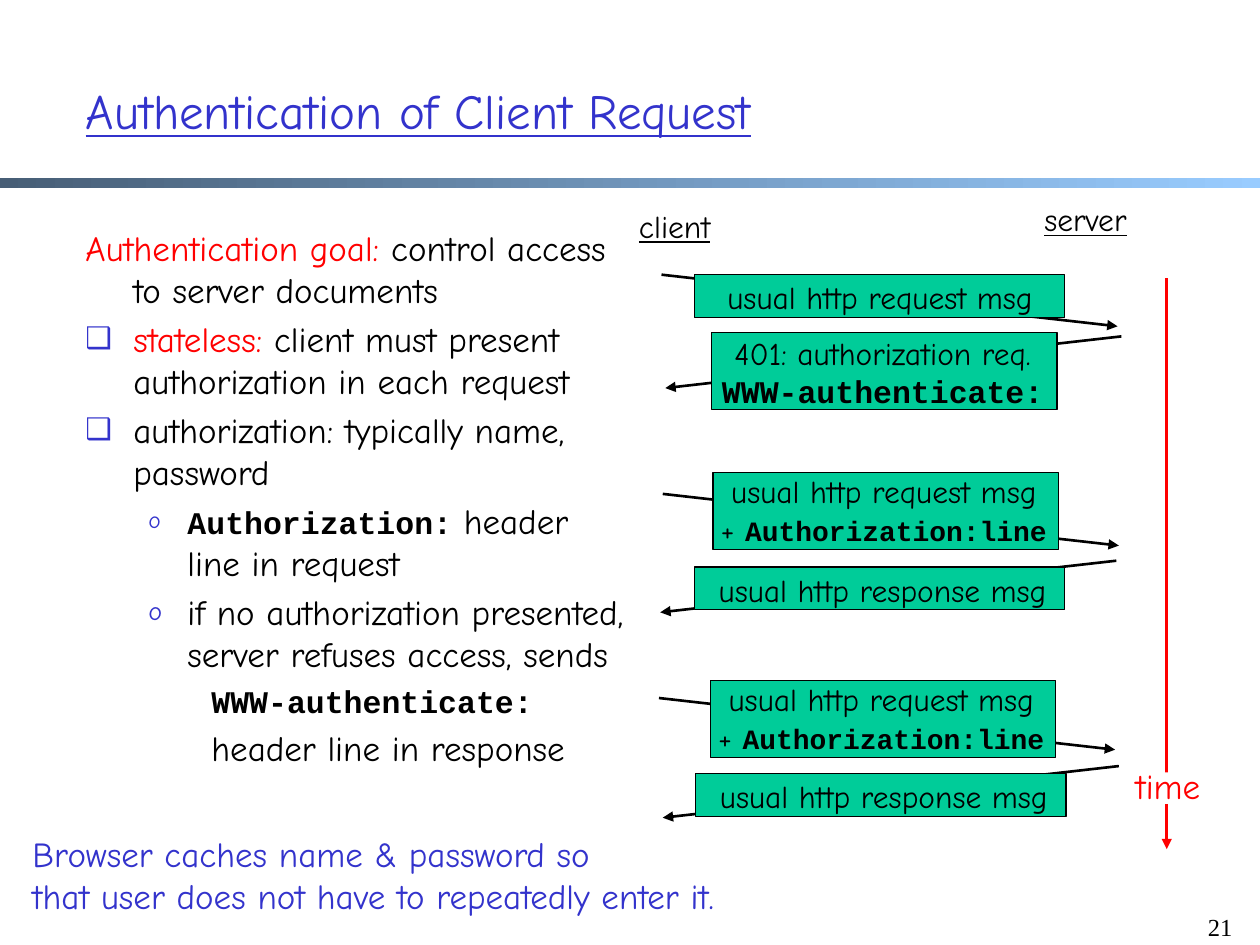
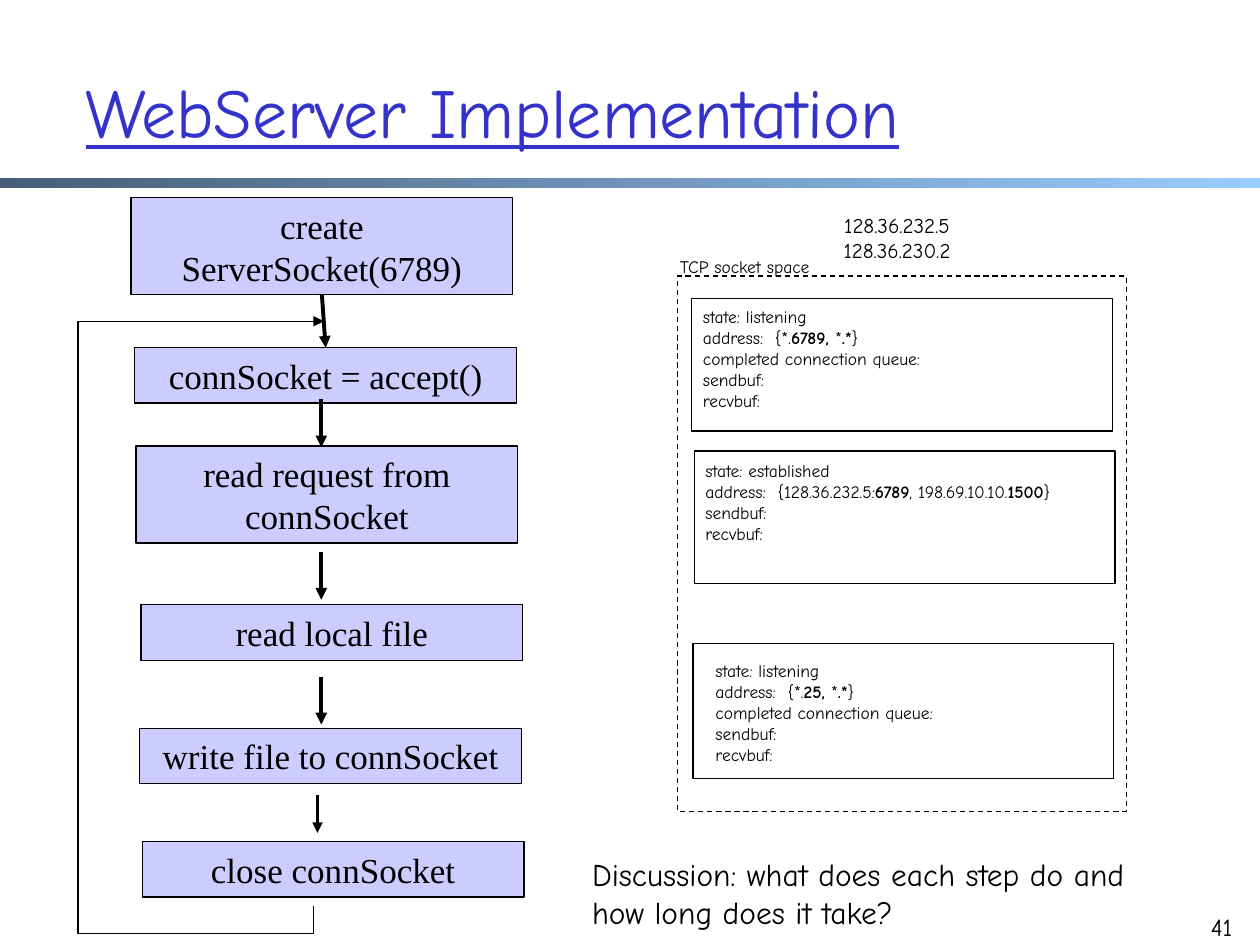
from dataclasses import dataclass, field

from lxml.etree import SubElement
from pptx import Presentation
from pptx.dml.color import RGBColor
from pptx.enum.dml import MSO_LINE
from pptx.enum.shapes import MSO_CONNECTOR, MSO_SHAPE
from pptx.enum.text import MSO_ANCHOR, MSO_AUTO_SIZE, PP_ALIGN
from pptx.oxml.ns import qn
from pptx.util import Pt

PX = 9144  # EMU per px, 100 px to the inch
COLORS = {
    "ink": "000000", "paper": "FFFFFF", "blue": "3333CC", "red": "FF0000",
    "green": "00CC99", "lilac": "CCCCFF", "band_dark": "475E76", "band_light": "99CCFF",
}
COMIC, MONO, SERIF = "Comic Neue", "Courier New", "Times New Roman"


@dataclass(frozen=True)
class Box:
    left: int
    top: int
    width: int
    height: int

    def emu(self) -> list[int]:
        return [value * PX for value in (self.left, self.top, self.width, self.height)]


@dataclass(frozen=True)
class Span:
    text: str
    color: str = "ink"
    style: dict = field(default_factory=dict)


@dataclass(frozen=True)
class Para:
    spans: tuple[Span, ...]
    margin: int = 0
    indent: int = 0
    before: int = 0
    bullet: str = ""
    bullet_size: int = 100


@dataclass(frozen=True)
class Message:
    start: tuple[int, int]
    direction: int  # 1 to the server, -1 to the client
    box: Box
    label: Box
    paras: tuple[Para, ...]


@dataclass(frozen=True)
class Socket:
    box: Box
    label: Box
    paras: tuple[Para, ...]


@dataclass(frozen=True)
class Arrow:
    start: tuple[int, int]
    end: tuple[int, int]
    width: float = 2.25


def rgb(name: str) -> RGBColor:
    return RGBColor.from_string(COLORS[name])


def set_values(target, values: dict) -> None:
    for name, value in values.items():
        setattr(target, name, value)


def styled(size: float, font: str = COMIC, bold: bool = False, underline: bool = False) -> dict:
    return {"size": Pt(size), "name": font, "bold": bold, "underline": underline}


def plain(text: str, size: float, color: str = "ink", **style) -> Para:
    return Para((Span(text, color, styled(size, **style)),))


def add_bullet(para_props, para: Para) -> None:
    color = SubElement(para_props, qn("a:buClr"))
    SubElement(color, qn("a:srgbClr"), val=COLORS["blue"])
    SubElement(para_props, qn("a:buSzPct"), val=str(para.bullet_size * 1000))
    SubElement(para_props, qn("a:buFont"), typeface=COMIC)
    SubElement(para_props, qn("a:buChar"), char=para.bullet)


def write(frame, paras: tuple[Para, ...], align=PP_ALIGN.LEFT, **frame_values) -> None:
    set_values(frame, {"word_wrap": True, "auto_size": MSO_AUTO_SIZE.NONE} | frame_values)
    for index, para in enumerate(paras):
        target = frame.add_paragraph() if index else frame.paragraphs[0]
        set_values(target, {"alignment": align, "space_before": Pt(para.before)})
        if para.margin:
            para_props = target._p.get_or_add_pPr()
            para_props.set("marL", str(para.margin * PX))
            para_props.set("indent", str(para.indent * PX))
            if para.bullet:
                add_bullet(para_props, para)
        for span in para.spans:
            run = target.add_run()
            run.text = span.text
            set_values(run.font, span.style)
            run.font.color.rgb = rgb(span.color)


def add_text(page, box: Box, *paras: Para, align=PP_ALIGN.LEFT, **frame_values):
    write(page.shapes.add_textbox(*box.emu()).text_frame, paras, align, **frame_values)


def add_growing(page, box: Box, *paras: Para, align=PP_ALIGN.LEFT, wrap: bool = False):
    add_text(page, box, *paras, align=align, word_wrap=wrap,
             auto_size=MSO_AUTO_SIZE.SHAPE_TO_FIT_TEXT)


def add_rect(page, box: Box, fill: str = "", line: str = "ink", dash: bool = False):
    shape = page.shapes.add_shape(MSO_SHAPE.RECTANGLE, *box.emu())
    shape.shadow.inherit = False
    if fill:
        shape.fill.solid()
        shape.fill.fore_color.rgb = rgb(fill)
    else:
        shape.fill.background()
    if line:
        shape.line.color.rgb = rgb(line)
        shape.line.width = Pt(0.75)
    else:
        shape.line.fill.background()
    if dash:
        shape.line.dash_style = MSO_LINE.DASH
    return shape


def format_arrow(shape, width: float, color: str) -> None:
    shape.line.color.rgb = rgb(color)
    shape.line.width = Pt(width)
    SubElement(shape.line._get_or_add_ln(), qn("a:tailEnd"), type="triangle")


def add_arrow(page, arrow: Arrow, color: str = "ink"):
    ends = [value * PX for value in arrow.start + arrow.end]
    connector = page.shapes.add_connector(MSO_CONNECTOR.STRAIGHT, *ends)
    format_arrow(connector, arrow.width, color)
    SubElement(connector._element.spPr, qn("a:effectLst"))
    return connector


def start_page(deck, title: str, title_size: int, number: str, number_font: str):
    """Title, gradient band and page number shared by both slides."""
    page = deck.slides.add_slide(deck.slide_layouts[5])
    band = add_rect(page, Box(0, 141, 1000, 8), line="")
    band.fill.gradient()
    band.fill.gradient_angle = 0
    for stop, color in zip(band.fill.gradient_stops, ("band_dark", "band_light")):
        stop.color.rgb = rgb(color)
    heading = page.shapes.title
    names = ("left", "top", "width", "height")
    set_values(heading, dict(zip(names, Box(58, 25, 850, 125).emu())))
    write(heading.text_frame, (plain(title, title_size, "blue", underline=True),),
          vertical_anchor=MSO_ANCHOR.MIDDLE)
    add_text(page, Box(938, 719, 50, 50), plain(number, 14, font=number_font),
             align=PP_ALIGN.RIGHT)
    return page


# Authentication slide content
BODY, CODE = styled(20), styled(18, MONO, bold=True)
TOP = {"margin": 38, "indent": -38, "before": 4}
SQUARE = TOP | {"bullet": "❑", "bullet_size": 85}
ROUND = {"margin": 81, "indent": -31, "before": 4, "bullet": "o", "bullet_size": 75}
DEEP = {"margin": 125, "indent": -25, "before": 4}
GOALS = (
    Para((Span("Authentication goal:", "red", BODY),
          Span(" control access to server documents", style=BODY)), **TOP),
    Para((Span("stateless:", "red", BODY),
          Span(" client must present authorization in each request", style=BODY)), **SQUARE),
    Para((Span("authorization: typically name, password", style=BODY),), **SQUARE),
    Para((Span("Authorization:", style=CODE),
          Span(" header line in request", style=BODY)), **ROUND),
    Para((Span("if no authorization presented, server refuses access, sends",
               style=BODY),), **ROUND),
    Para((Span("WWW-authenticate:", style=CODE),), **DEEP),
    Para((Span("header line in response", style=BODY),), **DEEP),
)
REQUEST = plain("usual http request msg", 18)
RESPONSE = plain("usual http response msg", 18)
CHALLENGE = (plain("401: authorization req.", 18),
             plain("WWW-authenticate:", 18, font=MONO, bold=True))
SIGNED = (REQUEST, Para((Span("+ ", style=styled(18)),
                         Span("Authorization:line", style=styled(16, MONO, bold=True)))))
MESSAGES = (
    Message((525, 218), 1, Box(551, 218, 294, 34), Box(552, 216, 293, 40), (REQUEST,)),
    Message((890, 267), -1, Box(565, 264, 274, 61), Box(556, 260, 289, 70), CHALLENGE),
    Message((526, 392), 1, Box(566, 375, 274, 61), Box(555, 370, 293, 70), SIGNED),
    Message((886, 445), -1, Box(551, 450, 294, 34), Box(549, 448, 303, 40), (RESPONSE,)),
    Message((523, 554), 1, Box(564, 540, 274, 61), Box(553, 535, 293, 70), SIGNED),
    Message((888, 608), -1, Box(552, 614, 294, 34), Box(550, 612, 303, 40), (RESPONSE,)),
)


def build_authentication(deck) -> None:
    page = start_page(deck, "Authentication of Client Request", 28, "21", SERIF)
    add_text(page, Box(58, 175, 447, 471), *GOALS)
    for name, box in (("client", Box(482, 159, 107, 50)), ("server", Box(801, 154, 121, 50))):
        add_growing(page, box, plain(name, 18, underline=True), align=PP_ALIGN.CENTER)

    # Messages between client and server
    for message in MESSAGES:
        x, y = message.start
        add_arrow(page, Arrow((x, y), (x + 362 * message.direction, y + 41), 1.5))
        add_rect(page, message.box, "green")
        add_growing(page, message.label, *message.paras, align=PP_ALIGN.CENTER, wrap=True)

    # Time axis
    add_arrow(page, Arrow((926, 221), (926, 674), 1.5), "red")
    add_rect(page, Box(897, 613, 62, 25), "paper", line="")
    add_growing(page, Box(888, 602, 78, 43), plain("time", 20, "red"), align=PP_ALIGN.CENTER)

    add_growing(page, Box(16, 656, 627, 77),
                plain("Browser caches name & password so", 20, "blue"),
                plain("that user does not have to repeatedly enter it.", 20, "blue"))


# Web server slide content
STEPS = (
    ("create ServerSocket(6789)", Box(104, 157, 303, 77)),
    ("connSocket = accept()", Box(107, 276, 303, 44)),
    ("read request from connSocket", Box(108, 354, 303, 77)),
    ("read local file", Box(112, 480, 303, 44)),
    ("write file to connSocket", Box(111, 578, 303, 44)),
    ("close connSocket", Box(113, 668, 303, 44)),
)
LOOSE_ARROWS = (
    Arrow((255, 317), (255, 355)),
    Arrow((255, 438), (255, 476)),
    Arrow((255, 537), (255, 575)),
    Arrow((252, 631), (252, 661), 1.5),
)
LOOP = ((249, 719), (249, 741), (62, 741), (62, 255), (257, 255))


def socket_lines(state: str, address: tuple[str, ...], queue: bool) -> tuple[Para, ...]:
    """Address pieces alternate between regular and bold."""
    spans = tuple(Span(piece, style=styled(10, bold=index % 2 == 1))
                  for index, piece in enumerate(address))
    rest = ["completed connection queue:"] * queue + ["sendbuf:", "recvbuf:"]
    return (plain(f"state: {state}", 10), Para(spans), *(plain(line, 10) for line in rest))


SOCKETS = (
    Socket(Box(549, 237, 334, 105), Box(548, 238, 209, 93),
           socket_lines("listening", ("address:  {*.", "6789, ", "*", ".*", "}"), True)),
    Socket(Box(551, 358, 334, 105), Box(550, 360, 342, 77),
           socket_lines("established", ("address:  {128.36.232.5:", "6789",
                                        ", 198.69.10.10.", "1500", "}"), False)),
    Socket(Box(550, 511, 334, 107), Box(558, 519, 205, 93),
           socket_lines("listening", ("address:  {*.", "25, ", "*", ".*", "}"), True)),
)


def build_web_server(deck) -> None:
    page = start_page(deck, "WebServer Implementation", 40, "41", COMIC)

    # Socket space
    add_rect(page, Box(538, 219, 356, 425), dash=True)
    add_growing(page, Box(525, 198, 132, 27), plain("TCP socket space", 10),
                align=PP_ALIGN.CENTER)
    add_growing(page, Box(651, 164, 122, 50), plain("128.36.232.5", 12),
                plain("128.36.230.2", 12), align=PP_ALIGN.CENTER)
    for socket in SOCKETS:
        add_rect(page, socket.box)
        add_growing(page, socket.label, *socket.paras)

    # Server steps
    steps = []
    for text, box in STEPS:
        step = add_rect(page, box, "lilac")
        write(step.text_frame, (plain(text, 20, font=SERIF),), PP_ALIGN.CENTER,
              vertical_anchor=MSO_ANCHOR.MIDDLE, auto_size=MSO_AUTO_SIZE.SHAPE_TO_FIT_TEXT)
        steps.append(step)
    first = add_arrow(page, Arrow((255, 235), (255, 278)))
    first.begin_connect(steps[0], 2)
    first.end_connect(steps[1], 0)
    for arrow in LOOSE_ARROWS:
        add_arrow(page, arrow)

    # Loop back to accept
    points = [(x * PX, y * PX) for x, y in LOOP]
    builder = page.shapes.build_freeform(*points[0])
    builder.add_line_segments(points[1:], close=False)
    loop = builder.convert_to_shape()
    loop.shadow.inherit = False
    loop.fill.background()
    format_arrow(loop, 0.75, "ink")

    add_growing(page, Box(460, 674, 488, 71),
                plain("Discussion: what does each step do and", 18),
                plain("how long does it take?", 18))


def main() -> None:
    deck = Presentation()
    set_values(deck, {"slide_width": 1000 * PX, "slide_height": 750 * PX})
    build_authentication(deck)
    build_web_server(deck)
    deck.save("out.pptx")


if __name__ == "__main__":
    main()
